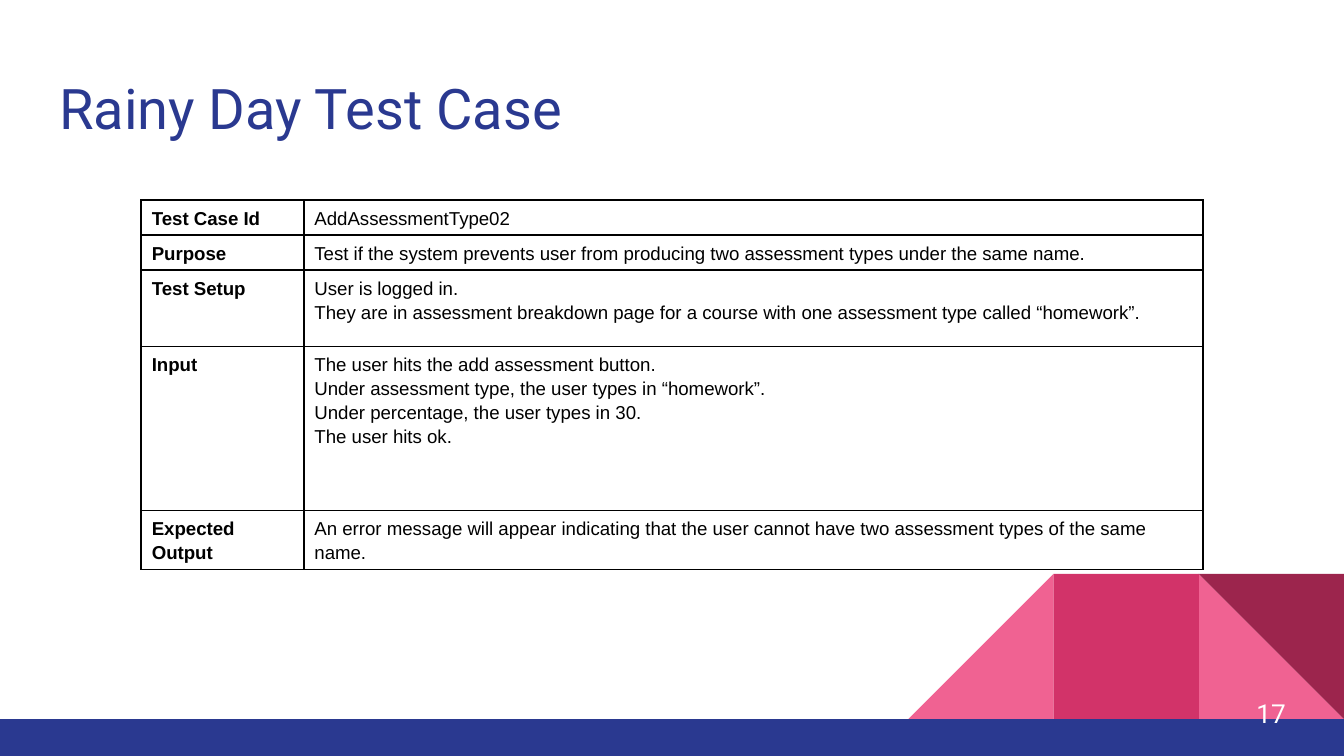
from dataclasses import dataclass

from lxml.etree import SubElement
from pptx import Presentation
from pptx.dml.color import RGBColor
from pptx.enum.shapes import MSO_SHAPE
from pptx.enum.text import MSO_ANCHOR
from pptx.oxml.ns import qn
from pptx.slide import Slide
from pptx.table import _Cell
from pptx.text.text import TextFrame, _Paragraph
from pptx.util import Inches, Pt


@dataclass(frozen=True)
class Theme:
    navy: str = "2A3990"
    pink: str = "F06292"
    rose: str = "D23369"
    wine: str = "9C254D"
    white: str = "FFFFFF"
    black: str = "000000"
    display_font: str = "Roboto"
    table_font: str = "Arial"
    title_size: int = 30
    number_size: int = 14
    table_size: int = 10


@dataclass(frozen=True)
class Tile:
    """A corner ornament, placed by its column counted from the right edge."""
    column: int
    kind: MSO_SHAPE
    color: str
    flipped: bool = False
    rotation: int = 0


@dataclass(frozen=True)
class CaseRow:
    label: str
    lines: tuple[str, ...]
    height: float


THEME = Theme()
WIDTH, HEIGHT = 10, 5.625
BAND_TOP = 5.35
TILE_SIDE = 1.08
COLUMN_WIDTHS = (1.21, 6.69)
CELL_INSET = Inches(0.04)

TILES = (
    Tile(1, MSO_SHAPE.RIGHT_TRIANGLE, THEME.pink),
    Tile(3, MSO_SHAPE.RIGHT_TRIANGLE, THEME.pink, flipped=True),
    Tile(2, MSO_SHAPE.RECTANGLE, THEME.rose),
    Tile(1, MSO_SHAPE.RIGHT_TRIANGLE, THEME.wine, rotation=180),
)

CASE_ROWS = (
    CaseRow("Test Case Id", ("AddAssessmentType02",), 0.26),
    CaseRow("Purpose", ("Test if the system prevents user from producing two "
                        "assessment types under the same name.",), 0.26),
    CaseRow("Test Setup", (
        "User is logged in.",
        "They are in assessment breakdown page for a course with one "
        "assessment type called “homework”."), 0.57),
    CaseRow("Input", (
        "The user hits the add assessment button.",
        "Under assessment type, the user types in “homework”.",
        "Under percentage, the user types in 30.",
        "The user hits ok."), 1.22),
    CaseRow("Expected Output", (
        "An error message will appear indicating that the user cannot have "
        "two assessment types of the same name.",), 0.44),
)


def add_span(para: _Paragraph, text: str, font: str, size: int, color: str,
             bold: bool = False) -> None:
    span = para.add_run()
    span.text = text
    span.font.name = font
    span.font.size = Pt(size)
    span.font.bold = bold
    span.font.color.rgb = RGBColor.from_string(color)


def set_frame(frame: TextFrame, anchor: MSO_ANCHOR) -> None:
    frame.word_wrap = True
    frame.vertical_anchor = anchor
    frame.margin_left = frame.margin_right = Inches(0.1)
    frame.margin_top = frame.margin_bottom = Inches(0.1)


def add_block(page: Slide, kind: MSO_SHAPE, left: float, top: float,
              width: float, height: float, color: str):
    block = page.shapes.add_shape(kind, Inches(left), Inches(top),
                                  Inches(width), Inches(height))
    block.shadow.inherit = False
    block.fill.solid()
    block.fill.fore_color.rgb = RGBColor.from_string(color)
    block.line.fill.background()
    return block


def add_tile(page: Slide, tile: Tile) -> None:
    block = add_block(page, tile.kind, WIDTH - tile.column * TILE_SIDE,
                      BAND_TOP - TILE_SIDE, TILE_SIDE, TILE_SIDE, tile.color)
    block.rotation = tile.rotation
    if tile.flipped:
        block._element.spPr.find(qn("a:xfrm")).set("flipH", "1")


def add_title(page: Slide, text: str) -> None:
    title = page.shapes.title
    title.left, title.top = Inches(0.34), Inches(0.45)
    title.width, title.height = Inches(9.32), Inches(0.66)
    set_frame(title.text_frame, MSO_ANCHOR.TOP)
    para = title.text_frame.paragraphs[0]
    para.alignment = 1
    add_span(para, text, THEME.display_font, THEME.title_size, THEME.navy)


def add_borders(cell: _Cell) -> None:
    properties = cell._tc.get_or_add_tcPr()
    for side in ("a:lnL", "a:lnR", "a:lnT", "a:lnB"):
        line = SubElement(properties, qn(side), w=str(Pt(1)))
        fill = SubElement(line, qn("a:solidFill"))
        SubElement(fill, qn("a:srgbClr"), val=THEME.black)


def fill_cell(cell: _Cell, lines: tuple[str, ...], bold: bool) -> None:
    add_borders(cell)
    cell.fill.background()
    cell.margin_left = cell.margin_right = CELL_INSET
    cell.margin_top = cell.margin_bottom = CELL_INSET
    frame = cell.text_frame
    for index, text in enumerate(lines):
        para = frame.add_paragraph() if index else frame.paragraphs[0]
        para.line_spacing = 1.15
        para._p.get_or_add_pPr().set("marL", str(CELL_INSET))
        add_span(para, text, THEME.table_font, THEME.table_size, THEME.black, bold)


def add_case_table(page: Slide, rows: tuple[CaseRow, ...]) -> None:
    width = sum(COLUMN_WIDTHS)
    table = page.shapes.add_table(
        len(rows), len(COLUMN_WIDTHS), Inches((WIDTH - width) / 2), Inches(1.49),
        Inches(width), Inches(sum(row.height for row in rows))).table
    table.first_row = table.horz_banding = False
    for column, column_width in zip(table.columns, COLUMN_WIDTHS):
        column.width = Inches(column_width)
    for index, row in enumerate(rows):
        table.rows[index].height = Inches(row.height)
        fill_cell(table.cell(index, 0), (row.label,), bold=True)
        fill_cell(table.cell(index, 1), row.lines, bold=False)


def add_page_number(page: Slide, number: str) -> None:
    box = page.shapes.add_textbox(Inches(9.25), Inches(5.09),
                                  Inches(0.6), Inches(0.43))
    set_frame(box.text_frame, MSO_ANCHOR.MIDDLE)
    add_span(box.text_frame.paragraphs[0], number, THEME.display_font,
             THEME.number_size, THEME.white)


def main() -> None:
    deck = Presentation()
    deck.slide_width, deck.slide_height = Inches(WIDTH), Inches(HEIGHT)
    page = deck.slides.add_slide(deck.slide_layouts[5])
    page.background.fill.solid()
    page.background.fill.fore_color.rgb = RGBColor.from_string(THEME.white)
    for tile in TILES:
        add_tile(page, tile)
    add_block(page, MSO_SHAPE.RECTANGLE, 0, BAND_TOP, WIDTH, HEIGHT - BAND_TOP,
              THEME.navy)
    add_title(page, "Rainy Day Test Case")
    add_case_table(page, CASE_ROWS)
    add_page_number(page, "17")
    deck.save("out.pptx")


if __name__ == "__main__":
    main()
